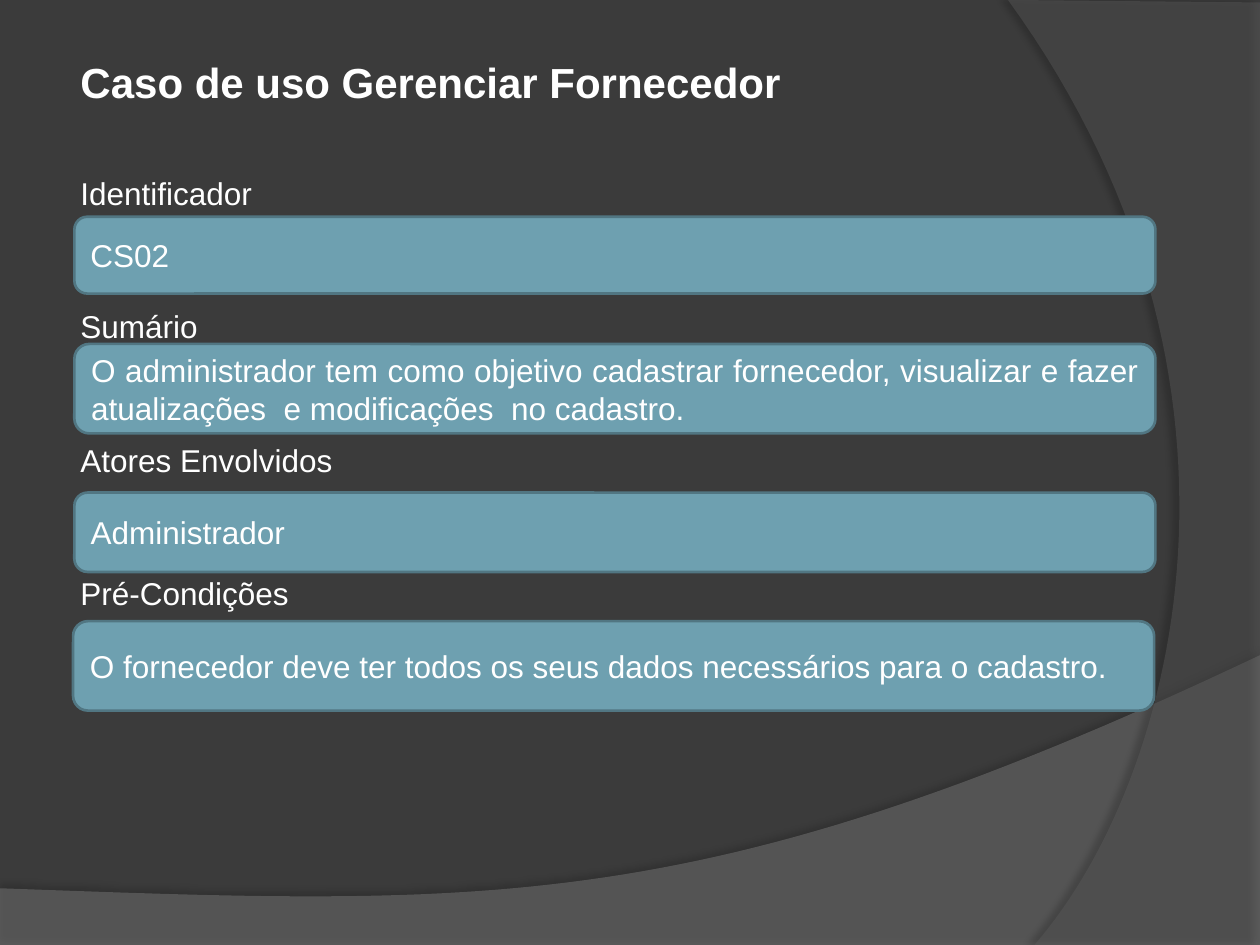
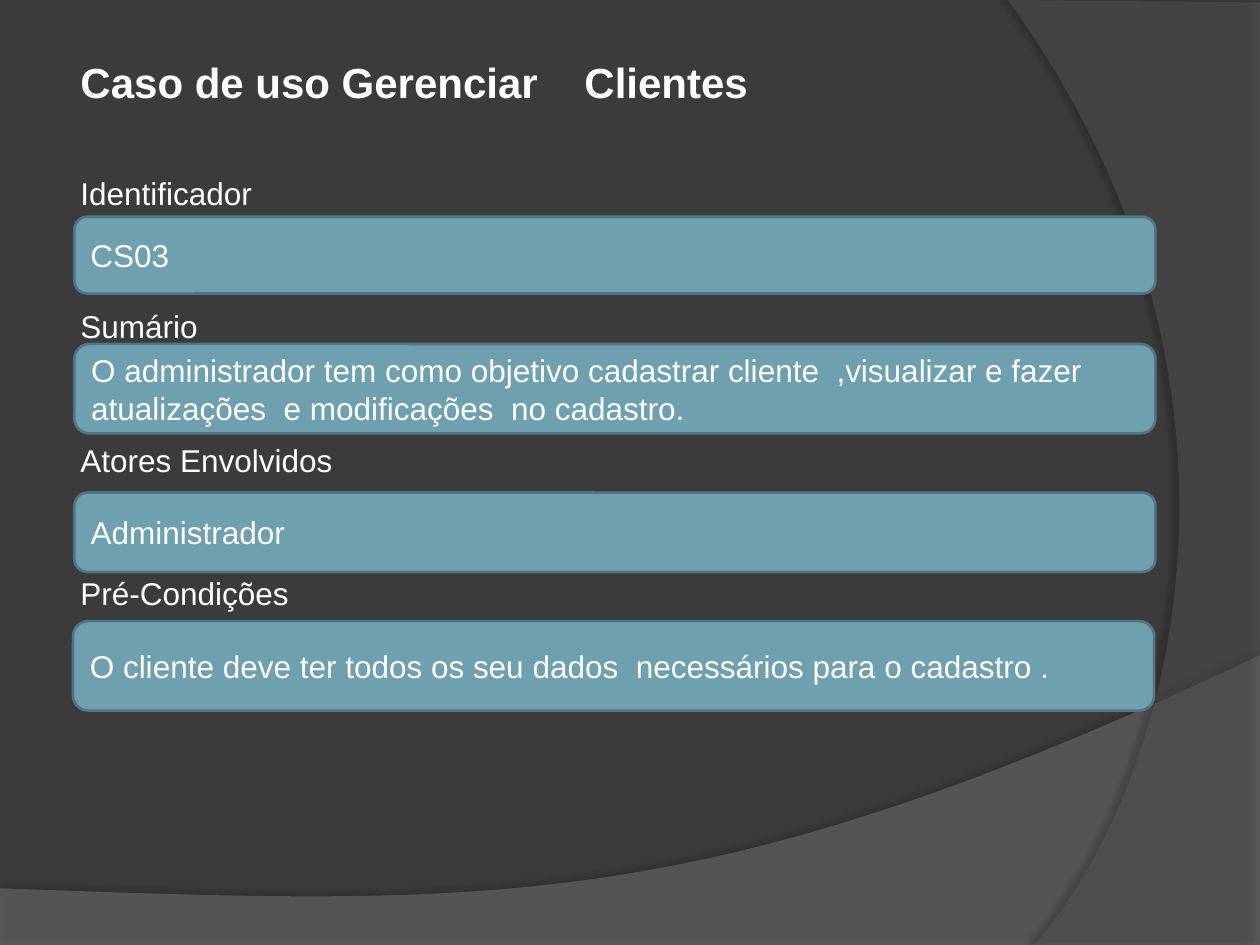
from lxml import etree
from pptx import Presentation
from pptx.dml.color import RGBColor
from pptx.enum.shapes import MSO_SHAPE
from pptx.enum.text import MSO_ANCHOR, PP_ALIGN
from pptx.oxml.ns import qn
from pptx.util import Inches, Pt

ROUND = MSO_SHAPE.ROUNDED_RECTANGLE
LEFT, JUSTIFY = PP_ALIGN.LEFT, PP_ALIGN.JUSTIFY
TOP, MIDDLE = MSO_ANCHOR.TOP, MSO_ANCHOR.MIDDLE

COLORS = {
    "background": "3B3B3B",
    "lower": "7F7F7F",
    "right": "5E5E5E",
    "field": "6EA0B0",
    "border": "517682",
    "text": "FFFFFF",
    "shadow": "000000",
}
FONT = "Arial"
CURVE_STEPS = 60

SWOOSHES = [
    dict(color="lower", alpha=45, shadow_alpha=35, distance=3.5, angle=270,
         corners=[(0, 7.05), (0, 7.51), (10, 7.51)],
         curve=[(10, 5.2), (5.59, 7.29), (3.91, 7.19), (0, 7.05)]),
    dict(color="right", alpha=40, shadow_alpha=45, distance=4, angle=180,
         corners=[(10, 0.02), (10, 7.5)],
         curve=[(8.21, 7.5), (9.35, 6.19), (10.18, 3), (8, 0)]),
]

LABELS = ["Identificador", "Sumário", "Atores Envolvidos", "Pré-Condições"]
FIELD_BOXES = [(0.59, 1.72, 0.61), (0.59, 2.73, 0.71),
               (0.59, 3.91, 0.63), (0.58, 4.93, 0.71)]
FIELD_WIDTH = 8.58

USE_CASES = [
    dict(title="Caso de uso Gerenciar Fornecedor", align=JUSTIFY, fields=[
        "CS02",
        "O administrador tem como objetivo cadastrar fornecedor, visualizar "
        "e fazer atualizações  e modificações  no cadastro.",
        "Administrador",
        "O fornecedor deve ter todos os seus dados necessários para o cadastro.",
    ]),
    dict(title="Caso de uso Gerenciar\tClientes", align=LEFT, fields=[
        "CS03",
        "O administrador tem como objetivo cadastrar cliente  ,visualizar "
        "e fazer atualizações  e modificações  no cadastro.",
        "Administrador",
        "O cliente deve ter todos os seu dados  necessários para o cadastro .",
    ]),
]


def rgb(name):
    return RGBColor.from_string(COLORS[name])


def write(p, text, size=18, bold=False, align=LEFT, before=0):
    p.alignment = align
    p.space_before = Pt(before)
    r = p.add_run()
    r.text = text
    r.font.name = FONT
    r.font.size = Pt(size)
    r.font.bold = bold
    r.font.color.rgb = rgb("text")


prs = Presentation()
prs.slide_width, prs.slide_height = Inches(10), Inches(7.5)

for case in USE_CASES:
    s = prs.slides.add_slide(prs.slide_layouts[6])
    s.background.fill.solid()
    s.background.fill.fore_color.rgb = rgb("background")

    for swoosh in SWOOSHES:
        points = list(swoosh["corners"])
        for step in range(CURVE_STEPS + 1):
            t = step / CURVE_STEPS
            weights = ((1 - t) ** 3, 3 * t * (1 - t) ** 2,
                       3 * t ** 2 * (1 - t), t ** 3)
            points.append(tuple(
                sum(w * point[axis] for w, point in zip(weights, swoosh["curve"]))
                for axis in (0, 1)))
        points = [(Inches(x), Inches(y)) for x, y in points]
        builder = s.shapes.build_freeform(*points[0])
        builder.add_line_segments(points[1:], close=True)
        sp = builder.convert_to_shape()
        sp.fill.solid()
        sp.fill.fore_color.rgb = rgb(swoosh["color"])
        sp.line.fill.background()
        sp.shadow.inherit = False
        fill_color = sp.fill._xPr.find(qn("a:solidFill"))[0]
        etree.SubElement(fill_color, qn("a:alpha"), val=str(swoosh["alpha"] * 1000))
        effects = sp._element.spPr.find(qn("a:effectLst"))
        shadow = etree.SubElement(
            effects, qn("a:outerShdw"), blurRad=str(Pt(4)),
            dist=str(Pt(swoosh["distance"])), dir=str(swoosh["angle"] * 60000),
            algn="ctr", rotWithShape="0")
        shadow_color = etree.SubElement(shadow, qn("a:srgbClr"), val=COLORS["shadow"])
        etree.SubElement(shadow_color, qn("a:alpha"),
                         val=str(swoosh["shadow_alpha"] * 1000))

    sp = s.shapes.add_textbox(Inches(0.54), Inches(0.4), Inches(8.95), Inches(6.65))
    tf = sp.text_frame
    tf.word_wrap = True
    tf.vertical_anchor = TOP
    write(tf.paragraphs[0], case["title"], size=24, bold=True, align=case["align"])
    for i, label in enumerate(LABELS):
        write(tf.add_paragraph(), label, before=54.7 if i else 38)

    for (left, top, height), text in zip(FIELD_BOXES, case["fields"]):
        sp = s.shapes.add_shape(ROUND, Inches(left), Inches(top),
                                Inches(FIELD_WIDTH), Inches(height))
        sp.shadow.inherit = False
        sp.fill.solid()
        sp.fill.fore_color.rgb = rgb("field")
        sp.line.color.rgb = rgb("border")
        sp.line.width = Pt(1.5)
        tf = sp.text_frame
        tf.word_wrap = True
        tf.vertical_anchor = MIDDLE
        write(tf.paragraphs[0], text, align=case["align"])

prs.save("out.pptx")
